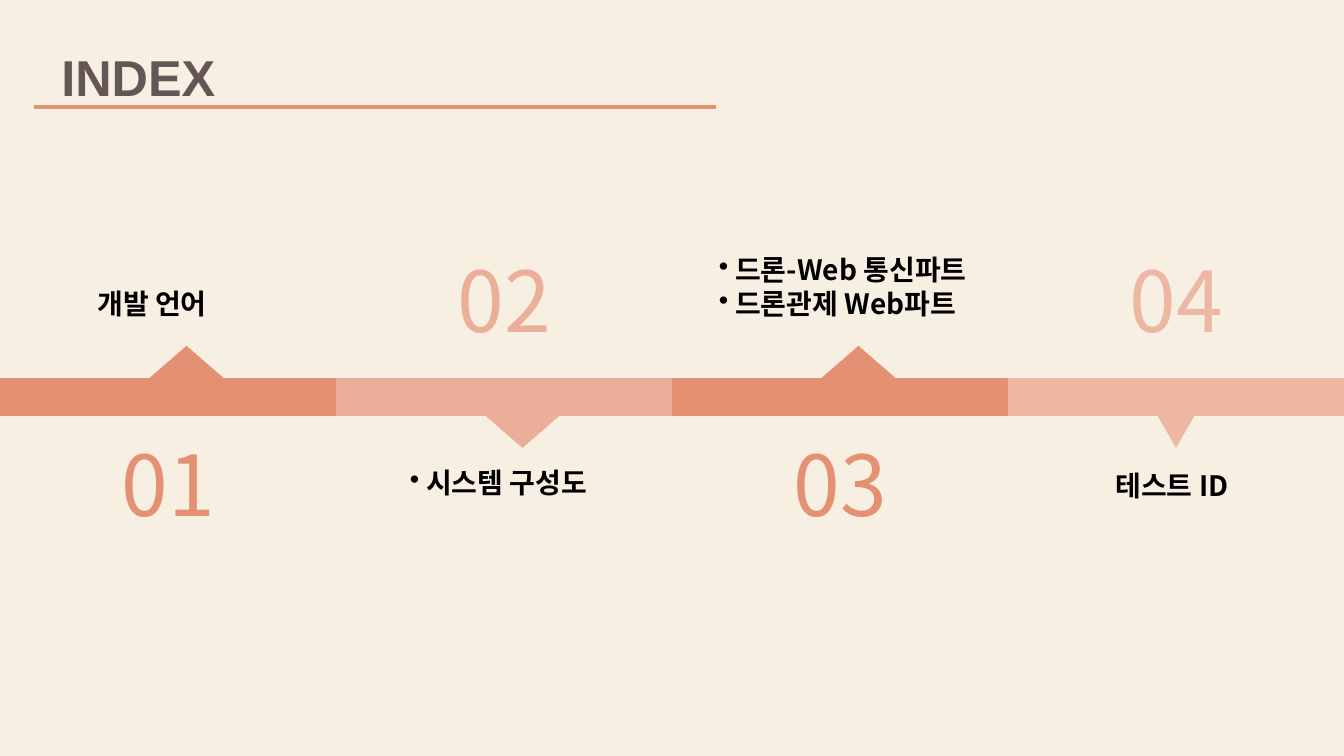
from dataclasses import dataclass

from lxml import etree
from pptx import Presentation
from pptx import util as u
from pptx.dml.color import RGBColor
from pptx.enum import shapes, text
from pptx.oxml import ns

WIDTH, HEIGHT = u.Inches(13.333), u.Inches(7.5)
COLUMNS, ROWS = 4, 20
BAR_ROW = 10
POINTER_ROWS = 0.85
CREAM, CORAL, BROWN, BLACK = "F7EFE2", "E49173", "645654", "000000"
LATIN, KOREAN = "Arial", "Noto Sans CJK KR"


@dataclass(frozen=True)
class Area:
    """Left and width in grid columns, top and height in grid rows."""
    left: float
    top: float
    width: float
    height: float

    def lengths(self) -> tuple[int, int, int, int]:
        return across(self.left), down(self.top), across(self.width), down(self.height)


@dataclass(frozen=True)
class Style:
    size: int
    font: str
    color: str
    bold: bool = False


@dataclass(frozen=True)
class Section:
    number: str
    color: str
    lines: tuple[str, ...]
    label: Area
    label_above: bool
    bulleted: bool = False
    bar_columns: int = 2
    pointer_columns: float = 0.22


LABEL = Style(20, KOREAN, BLACK, bold=True)
SECTIONS = [
    Section("01", CORAL, ("개발 언어",), Area(0.26, 7.44, 0.68, 1.17), True),
    Section("02", "EBAE99", (" 시스템 구성도",), Area(1.19, 12.19, 0.89, 1.17), False,
            bulleted=True),
    Section("03", CORAL, (" 드론-Web 통신파트", " 드론관제 Web파트"),
            Area(2.11, 6.56, 0.89, 2.05), True, bulleted=True),
    Section("04", "EEB7A4", ("테스트 ID",), Area(3.29, 12.27, 0.44, 1.17), False,
            bar_columns=1, pointer_columns=0.11),
]


def across(columns: float) -> int:
    return round(WIDTH * columns / COLUMNS)


def down(rows: float) -> int:
    return round(HEIGHT * rows / ROWS)


def rgb(color: str) -> RGBColor:
    return RGBColor.from_string(color)


def add_filled(page, kind, area: Area, color: str):
    shape = page.shapes.add_shape(kind, *area.lengths())
    shape.shadow.inherit = False
    shape.fill.solid()
    shape.fill.fore_color.rgb = rgb(color)
    shape.line.fill.background()
    return shape


def add_text(page, area: Area, lines: tuple[str, ...], style: Style,
             align=text.PP_ALIGN.LEFT, wrap: bool = True, bulleted: bool = False) -> None:
    box = page.shapes.add_textbox(*area.lengths())
    frame = box.text_frame
    frame.word_wrap = wrap
    frame.auto_size = text.MSO_AUTO_SIZE.SHAPE_TO_FIT_TEXT
    for index, line in enumerate(lines):
        para = frame.add_paragraph() if index else frame.paragraphs[0]
        para.alignment = align
        if bulleted:
            bullet = etree.SubElement(para._p.get_or_add_pPr(), ns.qn("a:buChar"))
            bullet.set("char", "•")
        span = para.add_run()
        span.text = line
        span.font.size = u.Pt(style.size)
        span.font.name = style.font
        span.font.bold = style.bold
        span.font.color.rgb = rgb(style.color)
        east_asian = etree.SubElement(span._r.get_or_add_rPr(), ns.qn("a:ea"))
        east_asian.set("typeface", style.font)


def add_heading(page) -> None:
    add_text(page, Area(0.153, 1.09, 0.52, 1.89), ("INDEX",),
             Style(36, LATIN, BROWN, bold=True), wrap=False)
    level = down(2.83)
    rule = page.shapes.add_connector(shapes.MSO_CONNECTOR.STRAIGHT,
                                     across(0.1), level, across(2.13), level)
    rule.line.color.rgb = rgb(CORAL)
    rule.line.width = u.Pt(3)
    etree.SubElement(rule._element.spPr, ns.qn("a:effectLst"))


def add_section(page, column: int, section: Section) -> None:
    """Draws one stretch of the band with its pointer, number and label."""
    add_filled(page, shapes.MSO_SHAPE.RECTANGLE,
               Area(column, BAR_ROW, section.bar_columns, 1), section.color)
    pointer_row = BAR_ROW - POINTER_ROWS if section.label_above else BAR_ROW + 1
    pointer = add_filled(page, shapes.MSO_SHAPE.ISOSCELES_TRIANGLE,
                         Area(column + 0.445, pointer_row,
                              section.pointer_columns, POINTER_ROWS), section.color)
    pointer.rotation = 0 if section.label_above else 180
    number_row = 11.3 if section.label_above else 6.45
    add_text(page, Area(column + 0.325, number_row, 0.35, 2.96), (section.number,),
             Style(60, KOREAN, section.color), align=text.PP_ALIGN.CENTER, wrap=False)
    add_text(page, section.label, section.lines, LABEL, bulleted=section.bulleted)


def main() -> None:
    deck = Presentation()
    deck.slide_width, deck.slide_height = WIDTH, HEIGHT
    page = deck.slides.add_slide(deck.slide_layouts[6])
    page.background.fill.solid()
    page.background.fill.fore_color.rgb = rgb(CREAM)
    add_heading(page)
    for column, section in enumerate(SECTIONS):
        add_section(page, column, section)
    deck.save("out.pptx")


if __name__ == "__main__":
    main()
